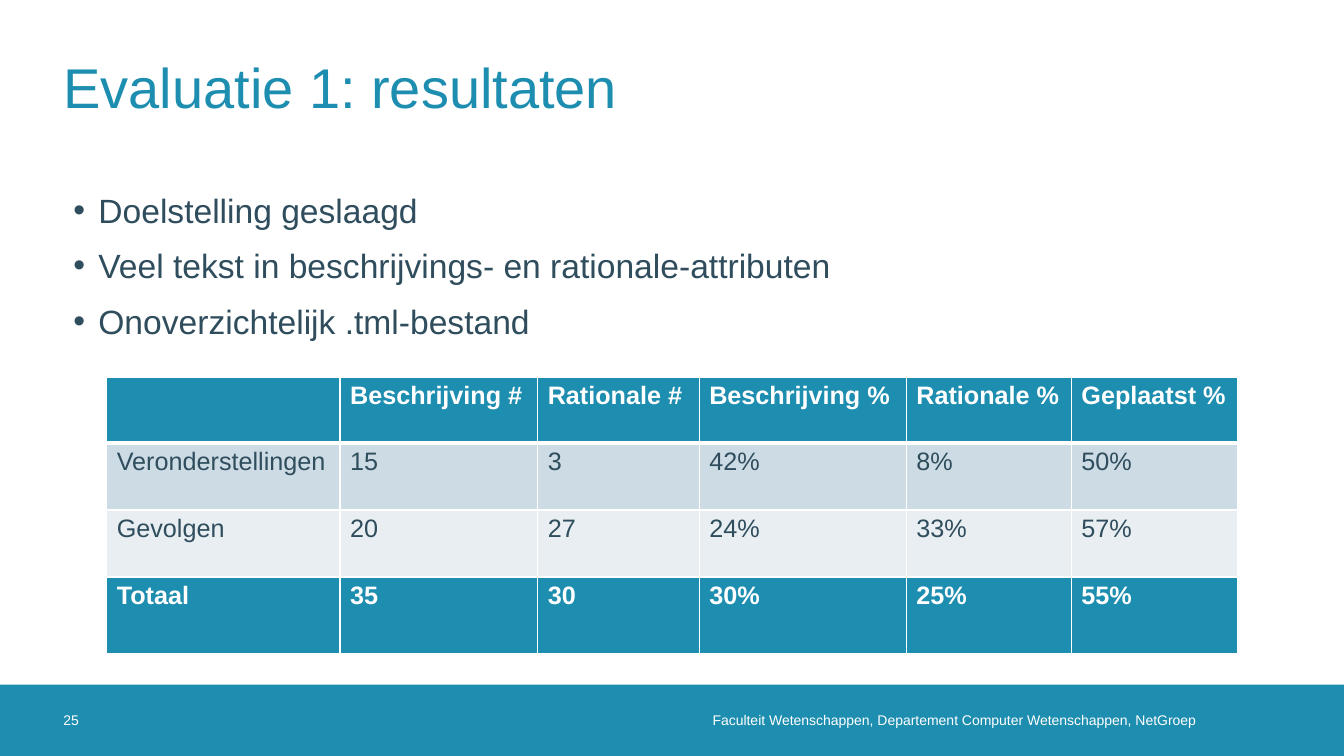
from pptx import Presentation
from pptx.dml.color import RGBColor
from pptx.enum import shapes, text
from pptx.oxml import parse_xml
from pptx.oxml.ns import nsdecls
from pptx.util import Cm, Pt

HUES = {"teal": "1D8DB0", "ink": "2F4D5D", "white": "FFFFFF",
        "mist": "CDDBE4", "pale": "E8EEF2"}
WIDE, HIGH = 33.87, 19.05
EDGE = 1.6
POINTS = ["Doelstelling geslaagd",
          "Veel tekst in beschrijvings- en rationale-attributen",
          "Onoverzichtelijk .tml-bestand"]
ROWS = [["", "Beschrijving #", "Rationale #", "Beschrijving %", "Rationale %", "Geplaatst %"],
        ["Veronderstellingen", "15", "3", "42%", "8%", "50%"],
        ["Gevolgen", "20", "27", "24%", "33%", "57%"],
        ["Totaal", "35", "30", "30%", "25%", "55%"]]
COLS = [5.88, 4.98, 4.07, 5.22, 4.16, 4.19]
TALL = [1.66, 1.69, 1.69, 1.93]
BANDS = [("teal", "white", True), ("mist", "ink", False),
         ("pale", "ink", False), ("teal", "white", True)]


def hue(name):
    """Return the named colour."""
    return RGBColor.from_string(HUES[name])


def style(para, size, name, bold=False):
    """Set the font of a paragraph."""
    font = para.font
    font.name, font.size, font.bold = "Arial", Pt(size), bold
    font.color.rgb = hue(name)


def pad(frame, right=0):
    """Centre a text frame vertically and clear its margins."""
    frame.margin_left = frame.margin_top = frame.margin_bottom = 0
    frame.margin_right = Cm(right)
    frame.vertical_anchor = text.MSO_ANCHOR.MIDDLE
    frame.word_wrap = True


def footer(slide, left, top, width, height):
    """Draw the bottom band with page number and department."""
    band = slide.shapes.add_shape(shapes.MSO_SHAPE.RECTANGLE,
                                  Cm(left), Cm(top), Cm(width), Cm(height))
    band.shadow.inherit = False
    band.fill.solid()
    band.fill.fore_color.rgb = hue("teal")
    band.line.fill.background()
    unit = "Faculteit Wetenschappen, Departement Computer Wetenschappen, NetGroep"
    for words, start, span, right, side in (
            (unit, 16.76, 13.87, 0.5, text.PP_ALIGN.RIGHT),
            ("25", EDGE, 1.8, 0, text.PP_ALIGN.LEFT)):
        box = slide.shapes.add_textbox(Cm(left + start), Cm(top), Cm(span), Cm(height))
        pad(box.text_frame, right)
        para = box.text_frame.paragraphs[0]
        para.text, para.alignment = words, side
        style(para, 10, "white")


def heading(slide, left, top, width, height):
    """Place and format the title."""
    title = slide.shapes.title
    title.left, title.top, title.width, title.height = map(Cm, (left, top, width, height))
    title.text = "Evaluatie 1: resultaten"
    pad(title.text_frame)
    para = title.text_frame.paragraphs[0]
    para.alignment = text.PP_ALIGN.LEFT
    style(para, 40, "teal")


def bullets(slide, left, top, width, height):
    """Write the bulleted findings."""
    frame = slide.shapes.add_textbox(Cm(left), Cm(top), Cm(width), Cm(height)).text_frame
    frame.word_wrap = True
    frame.text = "\n".join(POINTS)
    for para in frame.paragraphs:
        para.space_before = Pt(11)
        style(para, 24, "ink")
        props = para._p.get_or_add_pPr()
        props.set("marL", str(Cm(0.63)))
        props.set("indent", str(-Cm(0.63)))
        props.append(parse_xml(f'<a:buFont {nsdecls("a")} typeface="Arial"/>'))
        props.append(parse_xml(f'<a:buChar {nsdecls("a")} char="•"/>'))
        for tag in ("buFont", "buChar"):
            mark = props.find("{*}" + tag)
            props.find("{*}defRPr").addprevious(mark)


def border(cell, low):
    """Give a cell white borders, the bottom one of the given width."""
    props = cell._tc.get_or_add_tcPr()
    for spot, (side, size) in enumerate((("L", 1), ("R", 1), ("T", 1), ("B", low))):
        props.insert(spot, parse_xml(
            f'<a:ln{side} {nsdecls("a")} w="{Pt(size)}"><a:solidFill>'
            f'<a:srgbClr val="{HUES["white"]}"/></a:solidFill></a:ln{side}>'))


def results(slide, left, top, width, height):
    """Build the table of results."""
    table = slide.shapes.add_table(len(ROWS), len(COLS), Cm(left), Cm(top),
                                   Cm(width), Cm(height)).table
    for col, span in zip(table.columns, COLS):
        col.width = Cm(span)
    for i, (row, (fill, ink, bold)) in enumerate(zip(ROWS, BANDS)):
        table.rows[i].height = Cm(TALL[i])
        for j, words in enumerate(row):
            cell = table.cell(i, j)
            cell.text = words
            style(cell.text_frame.paragraphs[0], 18, ink, bold)
            cell.fill.solid()
            cell.fill.fore_color.rgb = hue(fill)
            border(cell, 3 if i == 0 else 1)
            if i == 1:
                cell._tc.tcPr.find("{*}lnT").set("w", str(Pt(3)))


def main():
    """Build and save the slide."""
    deck = Presentation()
    deck.slide_width, deck.slide_height = Cm(WIDE), Cm(HIGH)
    slide = deck.slides.add_slide(deck.slide_layouts[5])
    wide = WIDE - 2 * EDGE
    footer(slide, 0, 17.25, WIDE, 1.8)
    heading(slide, EDGE, 0.58, wide, 3.2)
    bullets(slide, EDGE, 4.65, wide, 4.4)
    results(slide, 2.69, 9.5, sum(COLS), sum(TALL))
    deck.save("out.pptx")


if __name__ == "__main__":
    main()
